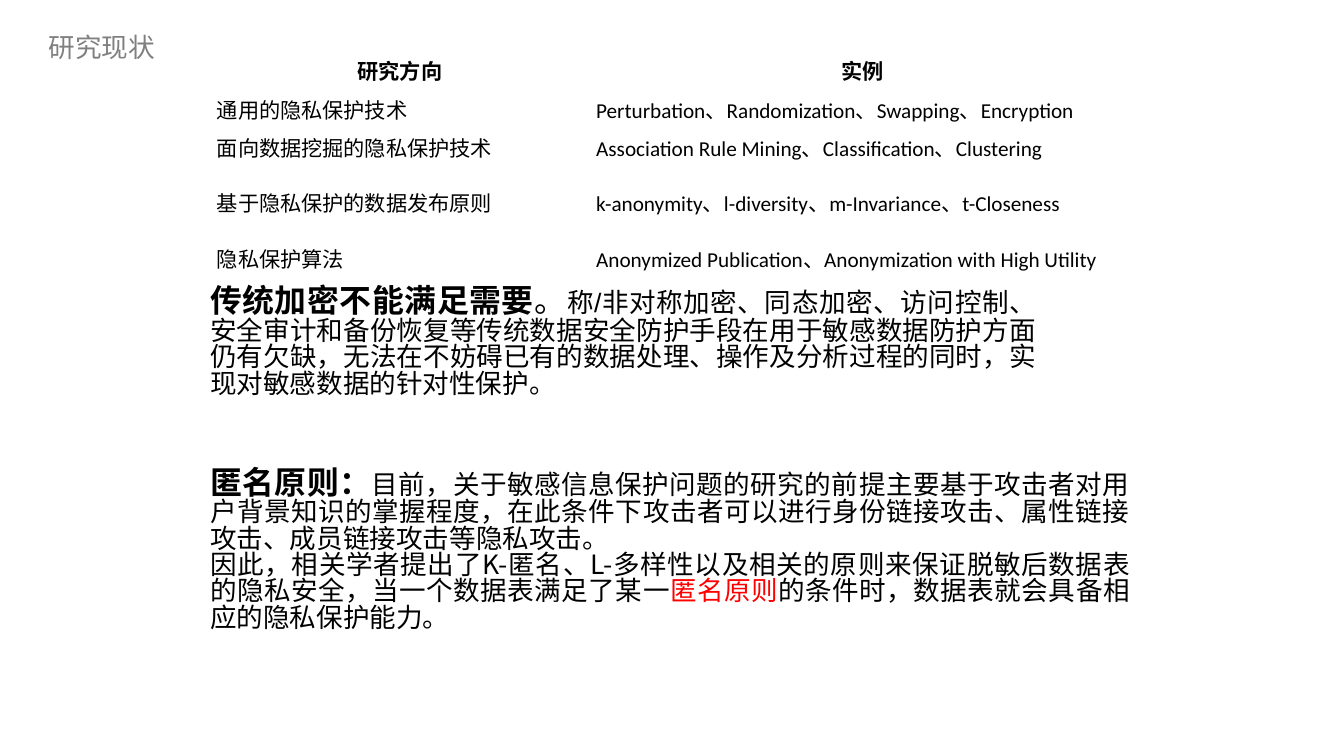
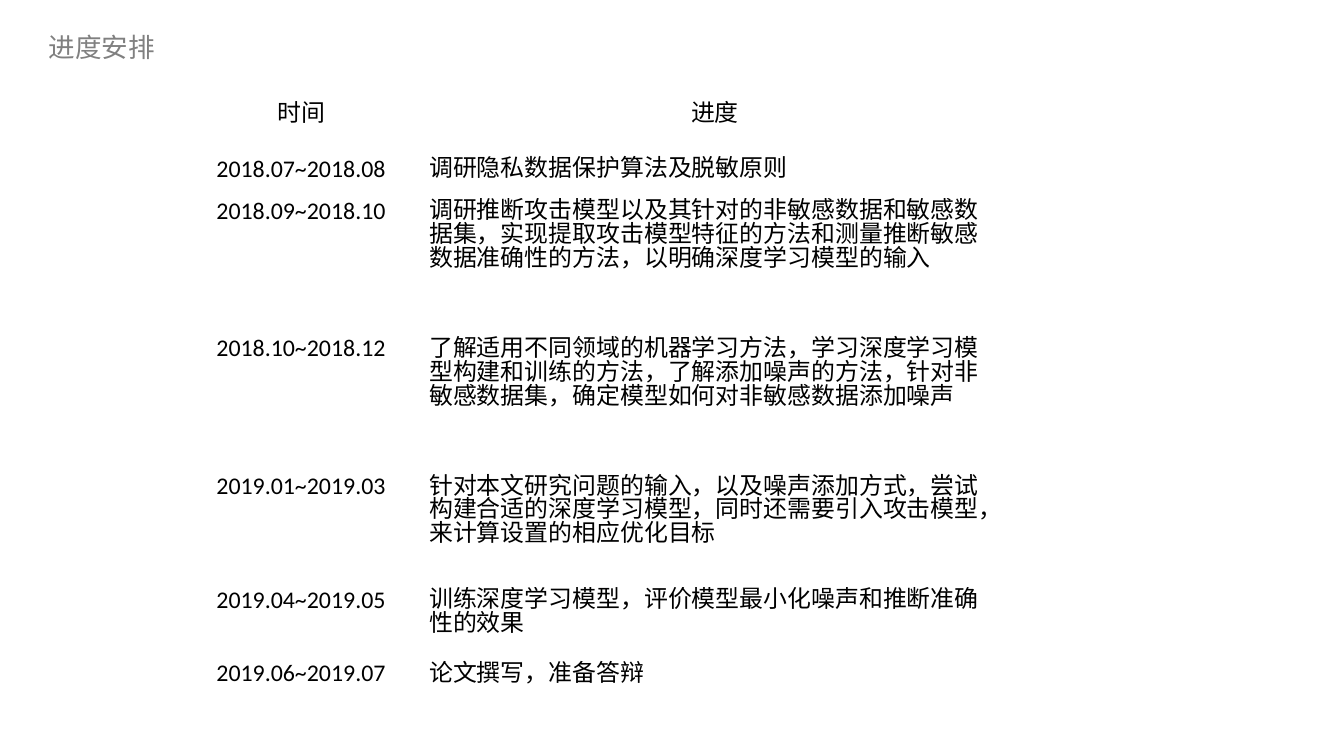
"""Build two slides on privacy research: its current state and the work schedule."""
from lxml.etree import SubElement
from pptx import Presentation
from pptx.dml.color import RGBColor
from pptx.enum.text import MSO_ANCHOR as Anchor, MSO_AUTO_SIZE as AutoSize, PP_ALIGN as Align
from pptx.oxml import parse_xml
from pptx.oxml.ns import nsdecls, qn
from pptx.util import Pt

CJK = "Noto Sans CJK SC"
WHITE, BLACK, GREY, RED = "FFFFFF", "000000", "808080", "FF0000"
TITLE_BOX = [Pt(value) for value in (28.8, 20.9, 241.2, 29.5)]

SLIDES = [
    {
        "title": "研究现状",
        "position": (158.4, 36),
        "columns": (285.8, 411.8),
        "heights": (20.9, 28.8, 41.8, 41.8, 41.8),
        "margins": {"margin_left": Pt(5), "margin_right": Pt(5), "margin_top": 0, "margin_bottom": 0},
        "alignments": (Align.JUSTIFY, Align.JUSTIFY),
        "spacing": 1.25,
        "size": 16,
        "header_bold": True,
        "header_rule": 3,
        "rows": [
            ("研究方向", "实例"),
            ("通用的隐私保护技术", "Perturbation、Randomization、Swapping、Encryption"),
            ("面向数据挖掘的隐私保护技术", "Association Rule Mining、Classification、Clustering"),
            ("基于隐私保护的数据发布原则", "k-anonymity、l-diversity、m-Invariance、t-Closeness"),
            ("隐私保护算法", "Anonymized Publication、Anonymization with High Utility"),
        ],
        "texts": [
            {
                "box": (151.2, 213, 636.5, 108.7),
                "anchor": Anchor.TOP,
                "font": "Arial",
                "paragraphs": [[
                    ("传统加密不能满足需要", 24, True, BLACK),
                    ("。", 24, False, BLACK),
                    ("称/非对称加密、同态加密、访问控制、安全审计和备份恢复等传统数据安全防护手段"
                     "在用于敏感数据防护方面仍有欠缺，无法在不妨碍已有的数据处理、操作及分析过程的同时，"
                     "实现对敏感数据的针对性保护。", 20, False, BLACK),
                ]],
            },
            {
                "box": (151.2, 336, 707, 157.7),
                "anchor": Anchor.MIDDLE,
                "font": CJK,
                "paragraphs": [
                    [
                        ("匿名原则：", 24, True, BLACK),
                        ("目前，关于敏感信息保护问题的研究的前提主要基于攻击者对用户背景知识的掌握程度，"
                         "在此条件下攻击者可以进行身份链接攻击、属性链接攻击、成员链接攻击等隐私攻击。",
                         20, False, BLACK),
                    ],
                    [
                        ("因此，相关学者提出了K-匿名、L-多样性以及相关的原则来保证脱敏后数据表的隐私安全，"
                         "当一个数据表满足了某一", 20, False, BLACK),
                        ("匿名原则", 20, False, RED),
                        ("的条件时，数据表就会具备相应的隐私保护能力。", 20, False, BLACK),
                    ],
                ],
            },
        ],
    },
    {
        "title": "进度安排",
        "position": (137.5, 74.9),
        "columns": (178.6, 445),
        "heights": (41.8, 31.7, 103.7, 103.7, 85.7, 55.4, 31.7),
        "margins": {},
        "alignments": (Align.CENTER, Align.LEFT),
        "spacing": Pt(18),
        "size": 18,
        "header_bold": False,
        "header_rule": 1,
        "rows": [
            ("时间", "进度"),
            ("2018.07~2018.08", "调研隐私数据保护算法及脱敏原则"),
            ("2018.09~2018.10", "调研推断攻击模型以及其针对的非敏感数据和敏感数据集，实现提取攻击模型特征的方法"
                                "和测量推断敏感数据准确性的方法，以明确深度学习模型的输入"),
            ("2018.10~2018.12", "了解适用不同领域的机器学习方法，学习深度学习模型构建和训练的方法，"
                                "了解添加噪声的方法，针对非敏感数据集，确定模型如何对非敏感数据添加噪声"),
            ("2019.01~2019.03", "针对本文研究问题的输入，以及噪声添加方式，尝试构建合适的深度学习模型，"
                                "同时还需要引入攻击模型，来计算设置的相应优化目标"),
            ("2019.04~2019.05", "训练深度学习模型，评价模型最小化噪声和推断准确性的效果"),
            ("2019.06~2019.07", "论文撰写，准备答辩"),
        ],
        "texts": [],
    },
]


def rgb(value):
    return RGBColor.from_string(value)


def add_run(paragraph, text, size, bold, color, name):
    run = paragraph.add_run()
    run.text = text
    for key, value in {"size": Pt(size), "bold": bold, "name": name}.items():
        setattr(run.font, key, value)
    run.font.color.rgb = rgb(color)
    SubElement(run.font._element, qn("a:ea")).set("typeface", CJK)


presentation = Presentation()
presentation.slide_width, presentation.slide_height = Pt(1012.5), Pt(569.5)

for content in SLIDES:
    slide = presentation.slides.add_slide(presentation.slide_layouts[5])
    title = slide.shapes.title
    title.left, title.top, title.width, title.height = TITLE_BOX
    frame = title.text_frame
    title_format = {"margin_left": Pt(7.9), "margin_right": Pt(7.9), "vertical_anchor": Anchor.MIDDLE,
                    "word_wrap": True, "auto_size": AutoSize.NONE}
    for key, value in title_format.items():
        setattr(frame, key, value)
    frame.paragraphs[0].alignment = Align.LEFT
    add_run(frame.paragraphs[0], content["title"], 20, False, GREY, CJK)

    columns, heights = content["columns"], content["heights"]
    left, top = content["position"]
    table = slide.shapes.add_table(len(heights), len(columns), Pt(left), Pt(top),
                                   Pt(sum(columns)), Pt(sum(heights))).table
    table.horz_banding = False
    for column, width in zip(table.columns, columns):
        column.width = Pt(width)
    for row_index, (row, height) in enumerate(zip(table.rows, heights)):
        row.height = Pt(height)
        header = row_index == 0
        for column_index, cell in enumerate(row.cells):
            for key, value in content["margins"].items():
                setattr(cell, key, value)
            cell.fill.solid()
            cell.fill.fore_color.rgb = rgb(WHITE)
            properties = cell._tc.get_or_add_tcPr()
            for position, side in enumerate("LRTB"):
                width = Pt(content["header_rule"] if header and side == "B" else 1)
                properties.insert(position, parse_xml(
                    f'<a:ln{side} {nsdecls("a")} w="{width}"><a:solidFill>'
                    f'<a:srgbClr val="{WHITE}"/></a:solidFill></a:ln{side}>'))
            paragraph = cell.text_frame.paragraphs[0]
            paragraph.alignment = Align.CENTER if header else content["alignments"][column_index]
            paragraph.line_spacing = content["spacing"]
            add_run(paragraph, content["rows"][row_index][column_index], content["size"],
                    header and content["header_bold"], BLACK, "Calibri")

    for text in content["texts"]:
        frame = slide.shapes.add_textbox(*[Pt(value) for value in text["box"]]).text_frame
        frame.word_wrap = True
        frame.vertical_anchor = text["anchor"]
        for index, runs in enumerate(text["paragraphs"]):
            paragraph = frame.add_paragraph() if index else frame.paragraphs[0]
            paragraph.alignment = Align.JUSTIFY
            paragraph.line_spacing = 0.83
            for run_values in runs:
                add_run(paragraph, *run_values, text["font"])

presentation.save("out.pptx")
